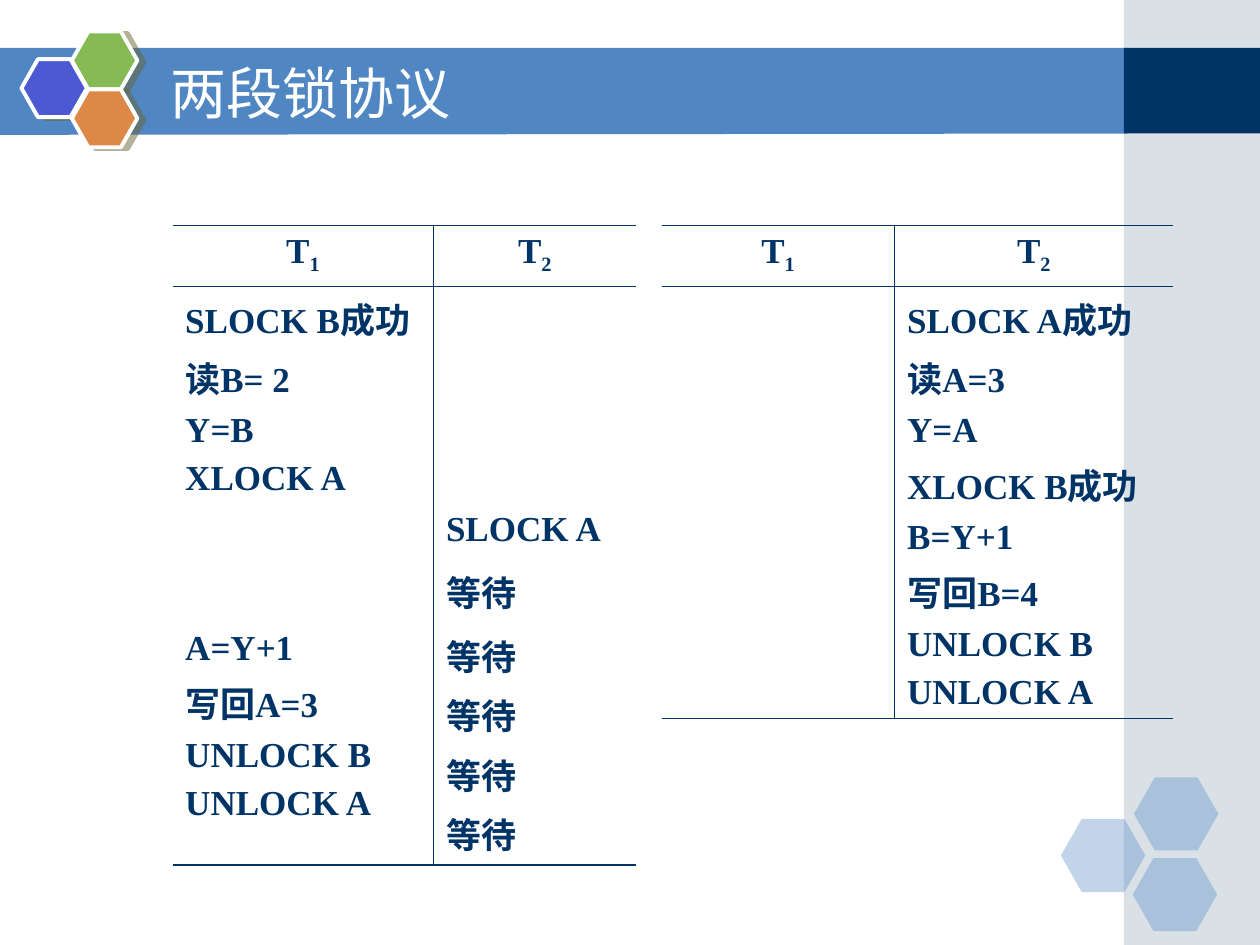
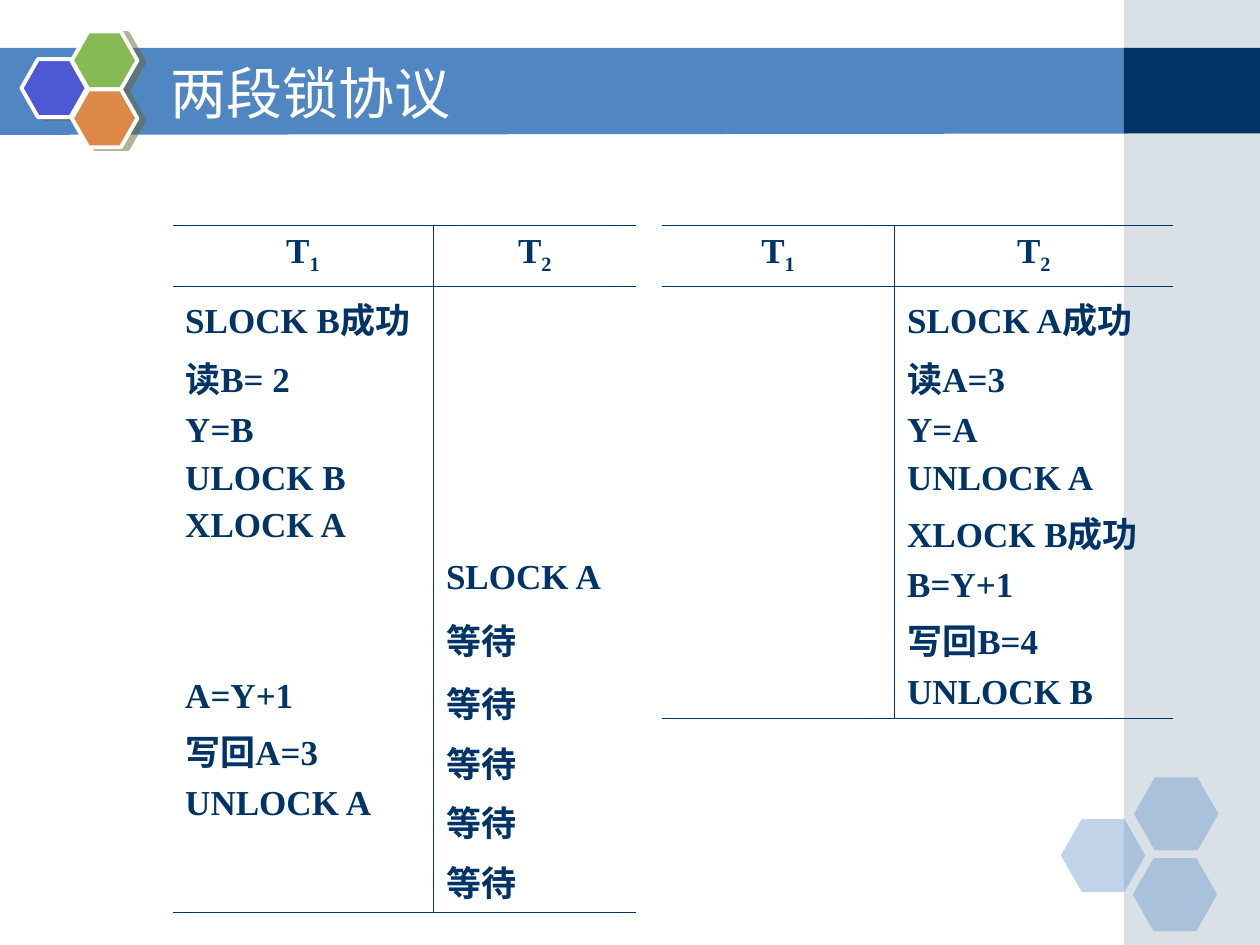
from lxml import etree
from pptx import Presentation
from pptx.dml.color import RGBColor
from pptx.enum.shapes import MSO_SHAPE
from pptx.enum.text import MSO_ANCHOR, MSO_AUTO_SIZE, PP_ALIGN
from pptx.oxml.ns import qn
from pptx.util import Inches, Pt

RECTANGLE, HEXAGON = MSO_SHAPE.RECTANGLE, MSO_SHAPE.HEXAGON
LEFT, CENTER = PP_ALIGN.LEFT, PP_ALIGN.CENTER
MIDDLE, NO_FIT = MSO_ANCHOR.MIDDLE, MSO_AUTO_SIZE.NONE
TITLE_ONLY = 5

BLUE, NAVY, GREY, WHITE = "5086C2", "003366", "A0B5C4", "FFFFFF"
SHADOW = "666633"
TITLE_FONT = {"name": "DejaVu Sans", "size": Pt(32), "bold": False}
CELL_FONT = {"name": "Times New Roman", "size": Pt(20), "bold": True}
THICK, THIN = Pt(1.08), Pt(0.45)


def color(value):
    return RGBColor.from_string(value)


def add_xml(parent, tag, **values):
    child = etree.SubElement(parent, qn(tag))
    for name, value in values.items():
        child.set(name, str(value))
    return child


class LockDeck:
    """Holds the shared style and the current slide."""

    def __init__(self):
        self.deck = Presentation()
        self.deck.slide_width, self.deck.slide_height = Inches(10), Inches(7.5)
        self.page = None

    def add_page(self, title):
        self.page = self.deck.slides.add_slide(self.deck.slide_layouts[TITLE_ONLY])
        self.add_frame()
        self.add_title(title)

    def add_frame(self):
        # Title band and side strip
        self.add_band([(-0.01, 0.38), (8.95, 0.38), (8.95, 1.06), (-0.01, 1.07)])
        self.add_shape(RECTANGLE, 8.92, 0, 1.08, 7.5, GREY, alpha=40)
        self.add_shape(RECTANGLE, 8.92, 0.38, 1.08, 0.68, NAVY)
        # Pale hexagons at the bottom right
        for left, top in [(8.42, 6.5), (9, 6.17), (8.99, 6.81)]:
            self.add_shape(HEXAGON, left, top, 0.67, 0.58, BLUE, alpha=35)
        # Bright hexagons beside the title
        for left, top, fill in [(0.17, 0.47, "4C59D2"), (0.57, 0.25, "85BA54"),
                                (0.57, 0.71, "DE8848")]:
            self.add_outlined_hexagon(left, top, fill)

    def paint(self, shape, fill, alpha=100):
        shape.shadow.inherit = False
        shape.fill.solid()
        shape.fill.fore_color.rgb = color(fill)
        shape.line.fill.background()
        if alpha < 100:
            fill_color = shape.element.spPr.find(qn("a:solidFill"))[0]
            add_xml(fill_color, "a:alpha", val=alpha * 1000)

    def add_band(self, corners):
        points = [(Inches(x), Inches(y)) for x, y in corners]
        builder = self.page.shapes.build_freeform(*points[0])
        builder.add_line_segments(points[1:], close=True)
        self.paint(builder.convert_to_shape(), BLUE)

    def add_shape(self, kind, left, top, width, height, fill, alpha=100):
        shape = self.page.shapes.add_shape(
            kind, Inches(left), Inches(top), Inches(width), Inches(height))
        if kind == HEXAGON:
            shape.adjustments[0] = 0.285
        self.paint(shape, fill, alpha)
        return shape

    def add_outlined_hexagon(self, left, top, fill):
        shape = self.add_shape(HEXAGON, left, top, 0.52, 0.46, fill)
        shape.line.color.rgb = color(WHITE)
        shape.line.width = Pt(2.25)
        effects = shape.element.spPr.find(qn("a:effectLst"))
        shadow = add_xml(effects, "a:outerShdw", dist=Pt(4.1), dir=14 * 60000,
                         algn="ctr", rotWithShape=0)
        shadow_color = add_xml(shadow, "a:srgbClr", val=SHADOW)
        add_xml(shadow_color, "a:alpha", val=50000)

    def add_title(self, text):
        box = self.page.shapes.title
        place = {"left": 1.25, "top": 0.42, "width": 7.33, "height": 0.62}
        for name, value in place.items():
            setattr(box, name, Inches(value))
        # Bring the title in front of the band
        self.page.shapes.element.append(box.element)
        frame = box.text_frame
        frame.auto_size, frame.vertical_anchor = NO_FIT, MIDDLE
        para = frame.paragraphs[0]
        para.alignment = LEFT
        self.add_span(para, text, TITLE_FONT, WHITE)

    def add_span(self, para, text, font, text_color):
        span = para.add_run()
        span.text = text
        for name, value in font.items():
            setattr(span.font, name, value)
        span.font.color.rgb = color(text_color)
        return span

    def add_schedule(self, left, widths, heights, rows):
        """Draws a T1/T2 table; each row holds a list of steps per transaction."""
        count = len(rows) + 1
        table = self.page.shapes.add_table(
            count, 2, Inches(left), Inches(1.79),
            Inches(sum(widths)), Inches(sum(heights))).table
        table.first_row = table.horz_banding = False
        for column, width in zip(table.columns, widths):
            column.width = Inches(width)
        for row, height in zip(table.rows, heights):
            row.height = Inches(height)
        for index in range(count):
            for side in range(2):
                cell = table.cell(index, side)
                self.set_borders(cell, index, side, count - 1)
                if index == 0:
                    self.fill_header(cell, str(side + 1))
                else:
                    self.fill_steps(cell, rows[index - 1][side])

    def set_borders(self, cell, index, side, last):
        widths = {
            "a:lnL": THIN if side == 1 else None,
            "a:lnR": THIN if side == 0 else None,
            "a:lnT": {0: THICK, 1: THIN}.get(index),
            "a:lnB": {0: THIN, last: THICK}.get(index),
        }
        properties = cell._tc.get_or_add_tcPr()
        for tag, width in widths.items():
            line = add_xml(properties, tag, w=width or 0)
            if width:
                add_xml(add_xml(line, "a:solidFill"), "a:srgbClr", val=NAVY)
            else:
                add_xml(line, "a:noFill")
        cell.fill.background()

    def fill_header(self, cell, number):
        para = cell.text_frame.paragraphs[0]
        para.alignment, para.space_before = CENTER, Pt(5)
        self.add_span(para, "T", CELL_FONT, NAVY)
        span = self.add_span(para, number, CELL_FONT, NAVY)
        span._r.get_or_add_rPr().set("baseline", "-25000")

    def fill_steps(self, cell, steps):
        frame = cell.text_frame
        for index, step in enumerate(steps):
            para = frame.add_paragraph() if index else frame.paragraphs[0]
            para.space_before = Pt(5)
            self.add_span(para, step, CELL_FONT, NAVY)


def main():
    lock_deck = LockDeck()
    wait = "等待"
    # Per slide: T1 steps before and after the wait, first row height, T2 steps
    schedules = [
        (["SLOCK B成功", "读B= 2", "Y=B", "XLOCK A"],
         ["A=Y+1", "写回A=3", "UNLOCK B", "UNLOCK A"], 1.64,
         ["SLOCK A成功", "读A=3", "Y=A", "XLOCK B成功", "B=Y+1",
          "写回B=4", "UNLOCK B", "UNLOCK A"]),
        (["SLOCK B成功", "读B= 2", "Y=B", "ULOCK B", "XLOCK A"],
         ["A=Y+1", "写回A=3", "UNLOCK A"], 2.05,
         ["SLOCK A成功", "读A=3", "Y=A", "UNLOCK A", "XLOCK B成功",
          "B=Y+1", "写回B=4", "UNLOCK B"]),
    ]
    for first_steps, last_steps, first_height, second_steps in schedules:
        lock_deck.add_page("两段锁协议")
        lock_deck.add_schedule(
            1.37, [2.07, 1.61], [0.48, first_height, 0.44, 0.44, 1.64],
            [(first_steps, []), ([], ["SLOCK A"]), ([], [wait]),
             (last_steps, [wait] * 4)])
        lock_deck.add_schedule(5.25, [1.85, 2.21], [0.48, 3.26],
                               [([], second_steps)])
    lock_deck.deck.save("out.pptx")


if __name__ == "__main__":
    main()
